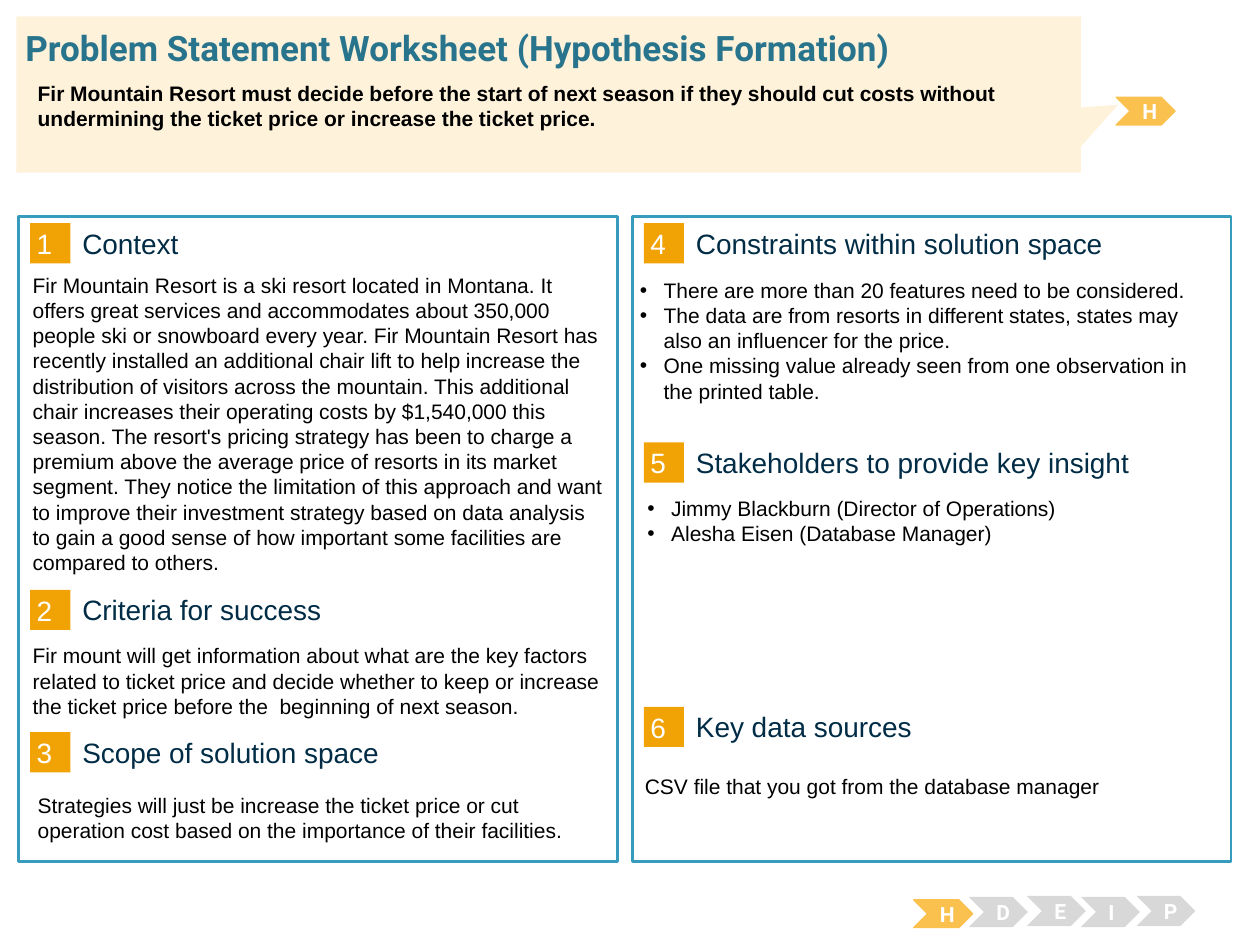
"""Build the problem statement worksheet slide."""
from lxml import etree
from pptx import Presentation
from pptx.dml.color import RGBColor
from pptx.enum import shapes, text
from pptx.oxml import ns
from pptx.util import Cm, Pt


def colour(value):
    """Turn a hex string into a colour."""
    return RGBColor.from_string(value)


class Worksheet:
    """Hold the style and the current slide."""

    body_font, accent_font = "Arial", "Roboto"
    black, white, navy, teal = "000000", "FFFFFF", "002C46", "29748D"
    border, orange, amber = "379BBD", "F1A205", "FBC14E"
    grey, cream = "D8D8D8", "FEF2DA"

    def __init__(self, presentation):
        """Add a title-only slide."""
        self.slide = presentation.slides.add_slide(presentation.slide_layouts[5])

    def add_text(self, shape, lines, size=12, ink=black, font=body_font, bold=False,
                 insets=(0.25, 0.13), anchor=text.MSO_ANCHOR.TOP,
                 align=text.PP_ALIGN.LEFT, bullets=False):
        """Fill a shape with one run per paragraph."""
        frame = shape.text_frame
        frame.word_wrap = True
        frame.auto_size = text.MSO_AUTO_SIZE.NONE
        frame.vertical_anchor = anchor
        frame.margin_left = frame.margin_right = Cm(insets[0])
        frame.margin_top = frame.margin_bottom = Cm(insets[1])
        for index, line in enumerate(lines):
            paragraph = frame.add_paragraph() if index else frame.paragraphs[0]
            paragraph.alignment = align
            run = paragraph.add_run()
            run.text = line
            run.font.name, run.font.size, run.font.bold = font, Pt(size), bold
            run.font.color.rgb = colour(ink)
            if bullets:
                self.bullet(paragraph)

    def bullet(self, paragraph):
        """Give a paragraph a hanging bullet."""
        properties = paragraph._p.get_or_add_pPr()
        properties.set("marL", str(Cm(0.48)))
        properties.set("indent", str(Cm(-0.48)))
        etree.SubElement(properties, ns.qn("a:buFont")).set("typeface", self.body_font)
        etree.SubElement(properties, ns.qn("a:buChar")).set("char", "•")

    def shape(self, kind, left, top, width, height, fill, line=None, weight=0.75):
        """Add a flat preset shape."""
        shape = self.slide.shapes.add_shape(
            kind, Cm(left), Cm(top), Cm(width), Cm(height))
        shape.shadow.inherit = False
        shape.fill.solid()
        shape.fill.fore_color.rgb = colour(fill)
        if line:
            shape.line.color.rgb = colour(line)
            shape.line.width = Pt(weight)
        else:
            shape.line.fill.background()
        return shape

    def text_box(self, left, top, width, height, lines, **style):
        """Add a wrapped text box."""
        box = self.slide.shapes.add_textbox(Cm(left), Cm(top), Cm(width), Cm(height))
        self.add_text(box, lines, **style)

    def title(self, left, top, width, height, line):
        """Place the title in front of the shapes added so far."""
        title = self.slide.shapes.title
        title.left, title.top = Cm(left), Cm(top)
        title.width, title.height = Cm(width), Cm(height)
        self.add_text(title, [line], size=20, ink=self.teal, font=self.accent_font,
                      bold=True, insets=(0, 0))
        self.slide.shapes._spTree.append(title._element)

    def panel(self, left):
        """Add a bordered column."""
        self.shape(shapes.MSO_SHAPE.RECTANGLE, left, 4.37, 12.07, 13,
                   self.white, self.border, 1.5)

    def section(self, left, top, number, heading):
        """Add a numbered badge with its heading."""
        middle = text.MSO_ANCHOR.MIDDLE
        badge = self.shape(shapes.MSO_SHAPE.RECTANGLE, left + 0.23, top, 0.81, 0.81,
                           self.orange)
        self.add_text(badge, [str(number)], size=16, ink=self.white,
                      insets=(0.13, 0.13), anchor=middle)
        self.text_box(left + 1.28, top + 0.08, 9.98, 0.64, [heading], size=16,
                      ink=self.navy, insets=(0, 0), anchor=middle)

    def step(self, left, top, letter, active=False):
        """Add a chevron for one step of the process."""
        fill, line, height = ((self.amber, self.amber, 0.56) if active
                              else (self.grey, None, 0.61))
        chevron = self.shape(shapes.MSO_SHAPE.CHEVRON, left, top, 1.19, height,
                             fill, line)
        self.add_text(chevron, [letter], ink=self.white, font=self.accent_font,
                      bold=True, anchor=text.MSO_ANCHOR.MIDDLE,
                      align=text.PP_ALIGN.CENTER)


LEFT, RIGHT = 0.38, 12.75
SECTIONS = [
    (LEFT, 4.5, "Context", (0.41, 5.36, 4.98), [
        "Fir Mountain Resort is a ski resort located in Montana. It offers great "
        "services and accommodates about 350,000 people ski or snowboard every year. "
        "Fir Mountain Resort has recently installed an additional chair lift to help "
        "increase the distribution of visitors across the mountain. This additional "
        "chair increases their operating costs by $1,540,000 this season. The resort's "
        "pricing strategy has been to charge a premium above the average price of "
        "resorts in its market segment. They notice the limitation of this approach "
        "and want to improve their investment strategy based on data analysis to gain "
        "a good sense of how important some facilities are compared to others."]),
    (LEFT, 11.89, "Criteria for success", (0.41, 12.83, 1.96), [
        "Fir mount will get information about what are the key factors related to "
        "ticket price and decide whether to keep or increase the ticket price before "
        "the  beginning of next season."]),
    (LEFT, 14.76, "Scope of solution space", (0.51, 15.85, 1.47), [
        "Strategies will just be increase the ticket price or cut operation cost "
        "based on the importance of their facilities."]),
    (RIGHT, 4.5, "Constraints within solution space", (12.65, 5.46, 3), [
        "There are more than 20 features need to be considered.",
        "The data are from resorts in different states, states may also an "
        "influencer for the price.",
        "One missing value already seen from one observation in the printed table."]),
    (RIGHT, 8.92, "Stakeholders to provide key insight", (12.8, 9.86, 3.56), [
        "Jimmy Blackburn (Director of Operations)",
        "Alesha Eisen (Database Manager)"]),
    (RIGHT, 14.25, "Key data sources", (12.75, 15.47, 1.47), [
        "CSV file that you got from the database manager"]),
]
STEPS = [(18.42, 18.14, "H"), (19.53, 18.08, "D"), (20.7, 18.06, "E"),
         (21.79, 18.08, "I"), (22.91, 18.06, "P")]

presentation = Presentation()
presentation.slide_width, presentation.slide_height = Cm(25.4), Cm(19.05)
worksheet = Worksheet(presentation)

for column in (LEFT, RIGHT):
    worksheet.panel(column)
for number, (column, top, heading, place, lines) in enumerate(SECTIONS, 1):
    worksheet.section(column, top, number, heading)
    left, body_top, height = place
    worksheet.text_box(left, body_top, 12.01, height, lines, bullets=len(lines) > 1)

for left, top, letter in STEPS:
    worksheet.step(left, top, letter, active=letter == "H")
worksheet.step(22.5, 1.96, "H", active=True)

callout = worksheet.shape(shapes.MSO_SHAPE.RECTANGULAR_CALLOUT,
                          0.33, 0.33, 21.46, 3.15, worksheet.cream)
callout.adjustments[0], callout.adjustments[1] = 0.535, 0.066
worksheet.title(0.51, 0.53, 24.43, 0.86,
                "Problem Statement Worksheet (Hypothesis Formation)")
worksheet.text_box(0.51, 1.5, 21.29, 2.03, [
    "Fir Mountain Resort must decide before the start of next season if they should "
    "cut costs without undermining the ticket price or increase the ticket price."],
    bold=True)

presentation.save("out.pptx")
